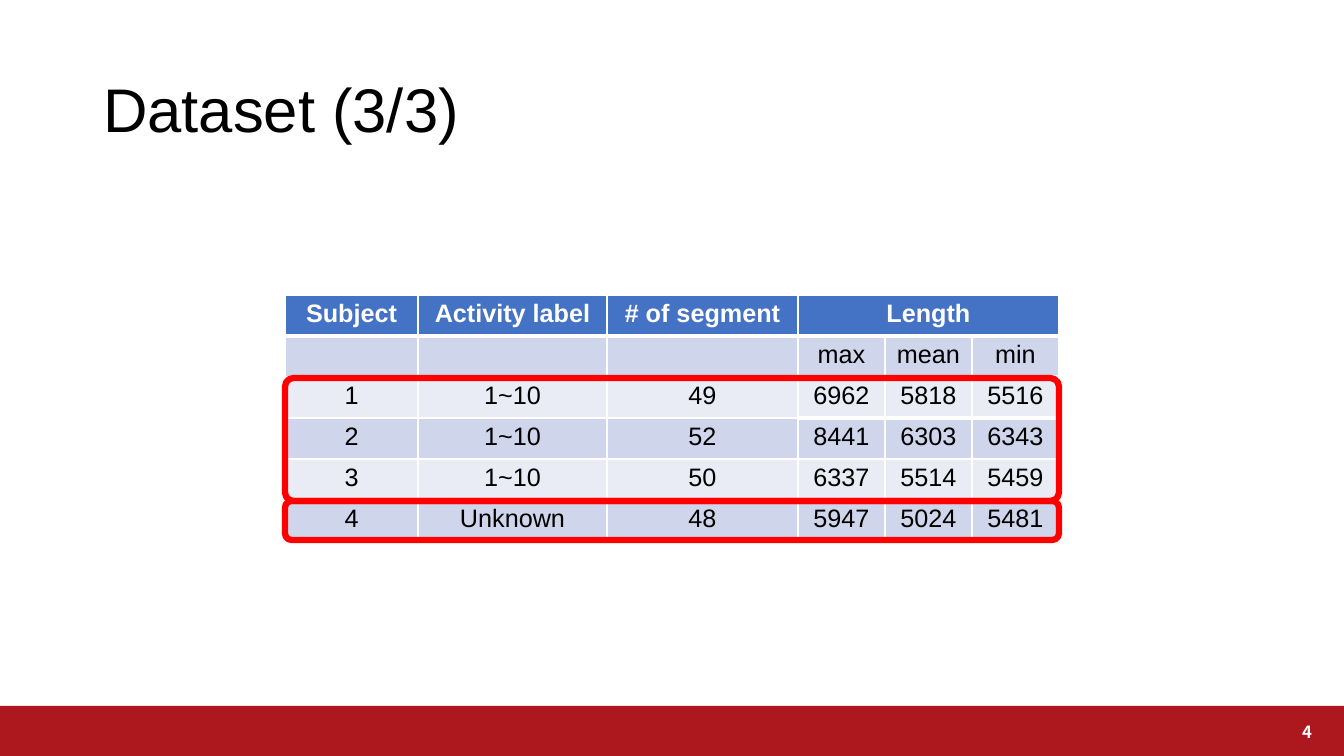
"""Build the dataset slide: a table of segment lengths with two framed row groups."""
from dataclasses import dataclass

from lxml import etree
from pptx import Presentation
from pptx.dml.color import RGBColor
from pptx.enum.shapes import MSO_SHAPE
from pptx.enum.text import MSO_ANCHOR, MSO_AUTO_SIZE, PP_ALIGN
from pptx.oxml.ns import qn
from pptx.util import Emu, Pt

RECT, ROUND = MSO_SHAPE.RECTANGLE, MSO_SHAPE.ROUNDED_RECTANGLE
LEFT, MID, RIGHT = PP_ALIGN.LEFT, PP_ALIGN.CENTER, PP_ALIGN.RIGHT

TITLE = "Dataset (3/3)"
PAGE = "4"
ROWS = [
    ("Subject", "Activity label", "# of segment", "Length", "", ""),
    ("", "", "", "max", "mean", "min"),
    ("1", "1~10", "49", "6962", "5818", "5516"),
    ("2", "1~10", "52", "8441", "6303", "6343"),
    ("3", "1~10", "50", "6337", "5514", "5459"),
    ("4", "Unknown", "48", "5947", "5024", "5481"),
]
SPAN = 3
FRAMES = [(378, 123, 0.07), (501, 39, 0.17)]

WIDE, HIGH = 1344, 756
COLS = (133, 189, 191, 87, 87, 87)
ROW = 41
GRID_X, GRID_Y = 285, 295
BAND_Y = 706


@dataclass(frozen=True)
class Theme:
    font: str = "Arial"
    page_font: str = "Noto Sans CJK JP"
    title: int = 44
    body: int = 18
    page: int = 12
    thin: int = 1
    thick: int = 3
    frame: float = 4.5
    black: str = "000000"
    white: str = "FFFFFF"
    red: str = "FF0000"
    band: str = "AC181E"
    head: str = "4472C4"
    dark: str = "CFD5EA"
    light: str = "E9EBF5"


THEME = Theme()


def px(*sizes):
    return [Emu(round(size * 914400 / 100.8)) for size in sizes]


def rgb(code):
    return RGBColor.from_string(code)


def style(para, size, color, align, bold=False, face=THEME.font):
    para.alignment = align
    font = para.font
    font.name, font.size, font.bold = face, Pt(size), bold
    font.color.rgb = rgb(color)


def border(cell, sides):
    props = cell._tc.get_or_add_tcPr()
    for spot, (side, width) in enumerate(sides.items()):
        line = etree.Element(qn("a:" + side), w=str(Pt(width)))
        fill = etree.SubElement(line, qn("a:solidFill"))
        etree.SubElement(fill, qn("a:srgbClr"), val=THEME.white)
        props.insert(spot, line)


def add_grid(slide):
    size = px(GRID_X, GRID_Y, sum(COLS), ROW * len(ROWS))
    grid = slide.shapes.add_table(len(ROWS), len(COLS), *size).table
    grid.first_row = grid.horz_banding = False
    for col, width in zip(grid.columns, px(*COLS)):
        col.width = width

    def rule(row, col):
        heavy = row == 0 or row in (1, 2) and col >= SPAN
        return THEME.thick if heavy else THEME.thin

    for i, texts in enumerate(ROWS):
        grid.rows[i].height = px(ROW)[0]
        head = i == 0
        tint = THEME.head if head else THEME.dark if i % 2 else THEME.light
        for j, text in enumerate(texts):
            cell = grid.cell(i, j)
            cell.text = text
            cell.fill.solid()
            cell.fill.fore_color.rgb = rgb(tint)
            ink = THEME.white if head else THEME.black
            style(cell.text_frame.paragraphs[0], THEME.body, ink, MID, head)
            border(cell, {"lnL": THEME.thin, "lnR": THEME.thin,
                          "lnT": rule(i - 1, j), "lnB": rule(i, j)})
    grid.cell(0, SPAN).merge(grid.cell(0, len(COLS) - 1))


def add_band(slide):
    band = slide.shapes.add_shape(RECT, *px(0, BAND_Y, WIDE, HIGH - BAND_Y))
    band.shadow.inherit = False
    band.fill.solid()
    band.fill.fore_color.rgb = rgb(THEME.band)
    band.line.fill.background()
    frame = slide.shapes.add_textbox(*px(1219, 707, 103, 49)).text_frame
    frame.word_wrap = True
    frame.vertical_anchor = MSO_ANCHOR.MIDDLE
    frame.text = PAGE
    style(frame.paragraphs[0], THEME.page, THEME.white, RIGHT, True, THEME.page_font)


def add_title(slide):
    title = slide.shapes.title
    title.left, title.top, title.width, title.height = px(93, 40, 1159, 146)
    frame = title.text_frame
    frame.text = TITLE
    frame.auto_size = MSO_AUTO_SIZE.NONE
    frame.vertical_anchor = MSO_ANCHOR.MIDDLE
    para = frame.paragraphs[0]
    para.line_spacing = 0.9
    style(para, THEME.title, THEME.black, LEFT)


def add_frames(slide):
    for top, tall, bend in FRAMES:
        box = slide.shapes.add_shape(ROUND, *px(GRID_X, top, sum(COLS), tall))
        box.adjustments[0] = bend
        box.shadow.inherit = False
        box.fill.background()
        box.line.color.rgb = rgb(THEME.red)
        box.line.width = Pt(THEME.frame)


def main():
    deck = Presentation()
    deck.slide_width, deck.slide_height = px(WIDE, HIGH)
    slide = deck.slides.add_slide(deck.slide_layouts[5])
    add_band(slide)
    add_title(slide)
    add_grid(slide)
    add_frames(slide)
    deck.save("out.pptx")


if __name__ == "__main__":
    main()
